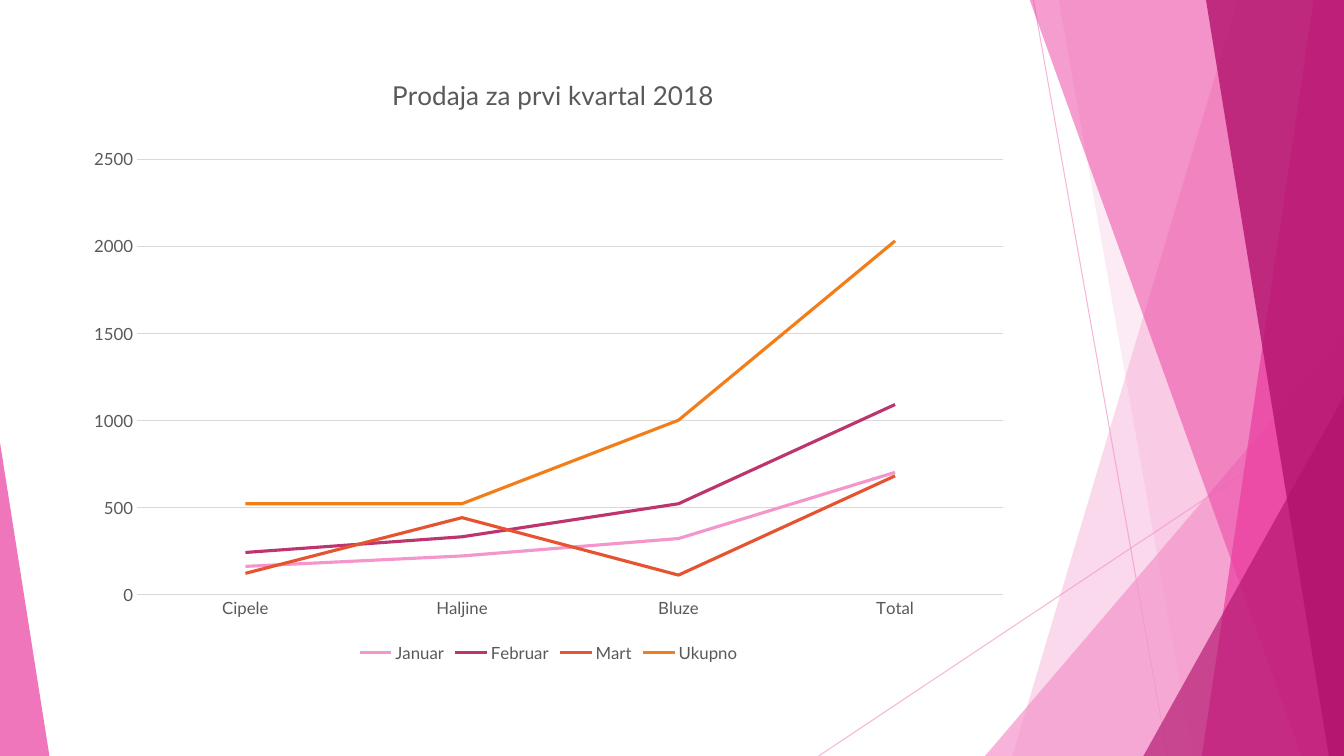
from dataclasses import dataclass

from lxml import etree
from pptx import Presentation
from pptx.chart.data import CategoryChartData
from pptx.dml.color import RGBColor
from pptx.enum.chart import XL_CHART_TYPE, XL_LEGEND_POSITION, XL_TICK_MARK
from pptx.enum.shapes import MSO_CONNECTOR, MSO_SHAPE
from pptx.oxml import parse_xml
from pptx.oxml.ns import nsdecls, qn
from pptx.util import Inches, Pt

LINE_CHART = XL_CHART_TYPE.LINE
LEGEND_BOTTOM = XL_LEGEND_POSITION.BOTTOM
NO_TICK = XL_TICK_MARK.NONE
STRAIGHT = MSO_CONNECTOR.STRAIGHT
TRIANGLE = MSO_SHAPE.ISOSCELES_TRIANGLE

WIDTH, HEIGHT, TOP = 13.33, 7.5, -0.01


@dataclass(frozen=True)
class Theme:
    font: str = "Lato"
    pink: str = "F496CB"
    magenta: str = "EB3D9F"
    plum: str = "B2136D"
    grid: str = "D9D9D9"
    text: str = "595959"
    series: tuple = ("F496CB", "BC356F", "E65331", "F27E19")
    title_size: float = 18.6
    label_size: float = 12
    hairline: float = 0.75
    series_line: float = 2.25


class SlideBuilder:
    def __init__(self, slide, theme):
        self.slide = slide
        self.theme = theme

    def set_opacity(self, shape, percent):
        color = next(shape.element.spPr.iter(qn("a:srgbClr")))
        etree.SubElement(color, qn("a:alpha"), val=str(percent * 1000))

    def fill(self, shape, color, opacity):
        shape.shadow.inherit = False
        shape.fill.solid()
        shape.fill.fore_color.rgb = RGBColor.from_string(color)
        shape.line.fill.background()
        self.set_opacity(shape, opacity)

    def set_line(self, line, color, width):
        line.color.rgb = RGBColor.from_string(color)
        line.width = Pt(width)

    def set_font(self, font, size):
        font.name = self.theme.font
        font.size = Pt(size)
        font.bold = False
        font.color.rgb = RGBColor.from_string(self.theme.text)

    def ray(self, start, end):
        ends = [Inches(value) for value in (*start, *end)]
        connector = self.slide.shapes.add_connector(STRAIGHT, *ends)
        self.set_line(connector.line, self.theme.pink, self.theme.hairline)
        self.set_opacity(connector, 70)
        etree.SubElement(connector.element.spPr, qn("a:effectLst"))

    def band(self, top_left, bottom_left, color, opacity):
        """Band from a slanted left edge to the right edge of the slide."""
        corners = [(top_left, TOP), (WIDTH, TOP), (WIDTH, HEIGHT), (bottom_left, HEIGHT)]
        points = [(Inches(x), Inches(y)) for x, y in corners]
        builder = self.slide.shapes.build_freeform(*points[0])
        builder.add_line_segments(points[1:], close=True)
        self.fill(builder.convert_to_shape(), color, opacity)

    def corner(self, left, top, width, apex, color, opacity):
        """Triangle that stands on the bottom edge of the slide."""
        shape = self.slide.shapes.add_shape(
            TRIANGLE, Inches(left), Inches(top), Inches(width), Inches(HEIGHT - top))
        shape.adjustments[0] = apex
        self.fill(shape, color, opacity)

    def place(self, element, successors, **fractions):
        """Fix a chart part at fractions of the chart area."""
        for old in element.findall(qn("c:layout")):
            element.remove(old)
        target = '<c:layoutTarget val="inner"/>' if "w" in fractions else ""
        modes = "".join(f'<c:{key}Mode val="edge"/>' for key in "xy")
        values = "".join(f'<c:{key} val="{value}"/>' for key, value in fractions.items())
        layout = parse_xml(
            f'<c:layout {nsdecls("c")}><c:manualLayout>{target}{modes}{values}'
            "</c:manualLayout></c:layout>")
        follower = next(child for child in element if child.tag in map(qn, successors))
        follower.addprevious(layout)

    def line_chart(self, title, categories, series, left, top, width, height):
        theme = self.theme
        data = CategoryChartData()
        data.categories = categories
        for name, values in series.items():
            data.add_series(name, values)
        chart = self.slide.shapes.add_chart(
            LINE_CHART, Inches(left), Inches(top), Inches(width), Inches(height), data).chart
        self.set_font(chart.font, theme.label_size)

        # Title and legend
        chart.has_title = True
        frame = chart.chart_title.text_frame
        frame.text = title
        self.set_font(frame.paragraphs[0].runs[0].font, theme.title_size)
        chart.chart_title.include_in_layout = False
        self.place(chart.chart_title.element if hasattr(chart.chart_title, "element")
                   else frame._element.getparent().getparent(), ("c:overlay",), x=0.33, y=0.04)
        chart.has_legend = True
        chart.legend.position = LEGEND_BOTTOM
        chart.legend.include_in_layout = False
        self.set_font(chart.legend.font, theme.label_size)

        # Axes
        category_axis, value_axis = chart.category_axis, chart.value_axis
        for axis in (category_axis, value_axis):
            axis.major_tick_mark = axis.minor_tick_mark = NO_TICK
            self.set_font(axis.tick_labels.font, theme.label_size)
        self.set_line(category_axis.format.line, theme.grid, theme.hairline)
        value_axis.minimum_scale, value_axis.maximum_scale = 0, 2500
        value_axis.major_unit = 500
        value_axis.format.line.fill.background()
        self.set_line(value_axis.major_gridlines.format.line, theme.grid, theme.hairline)

        # Series
        plot = chart.plots[0]
        plot.vary_by_categories = False
        for line, color in zip(plot.series, theme.series):
            line.smooth = False
            self.set_line(line.format.line, color, theme.series_line)
        plot_area = next(chart.element.iter(qn("c:plotArea"))) if hasattr(
            chart, "element") else next(chart._chartSpace.iter(qn("c:plotArea")))
        self.place(plot_area, ("c:lineChart",), x=0.066, y=0.182, w=0.914, h=0.702)


def main():
    deck = Presentation()
    deck.slide_width, deck.slide_height = Inches(WIDTH), Inches(HEIGHT)
    theme = Theme()
    page = SlideBuilder(deck.slides.add_slide(deck.slide_layouts[6]), theme)

    # Faceted decoration, back to front
    page.ray((10.25, 0), (11.58, HEIGHT))
    page.ray((WIDTH, 4.03), (8.12, HEIGHT))
    page.band(12.28, 10.04, theme.pink, 36)
    page.band(10.5, 11.83, theme.pink, 20)
    page.corner(9.77, 3.33, 3.56, 1, theme.pink, 72)
    page.band(10.21, 12.91, theme.magenta, 50)
    page.band(13.03, 11.92, theme.magenta, 70)
    page.band(11.96, 13.18, theme.plum, 80)
    page.corner(11.34, 3.93, 1.99, 1, theme.plum, 66)
    page.corner(0, 4.39, 0.49, 0, theme.magenta, 70)

    # Sales chart
    sales = {
        "Januar": (160, 220, 320, 700),
        "Februar": (240, 330, 520, 1090),
        "Mart": (120, 440, 110, 680),
        "Ukupno": (520, 520, 1000, 2030),
    }
    page.line_chart("Prodaja za prvi kvartal 2018", ("Cipele", "Haljine", "Bluze", "Total"),
                    sales, 0.74, 0.46, 9.4, 6.15)
    deck.save("out.pptx")


if __name__ == "__main__":
    main()
